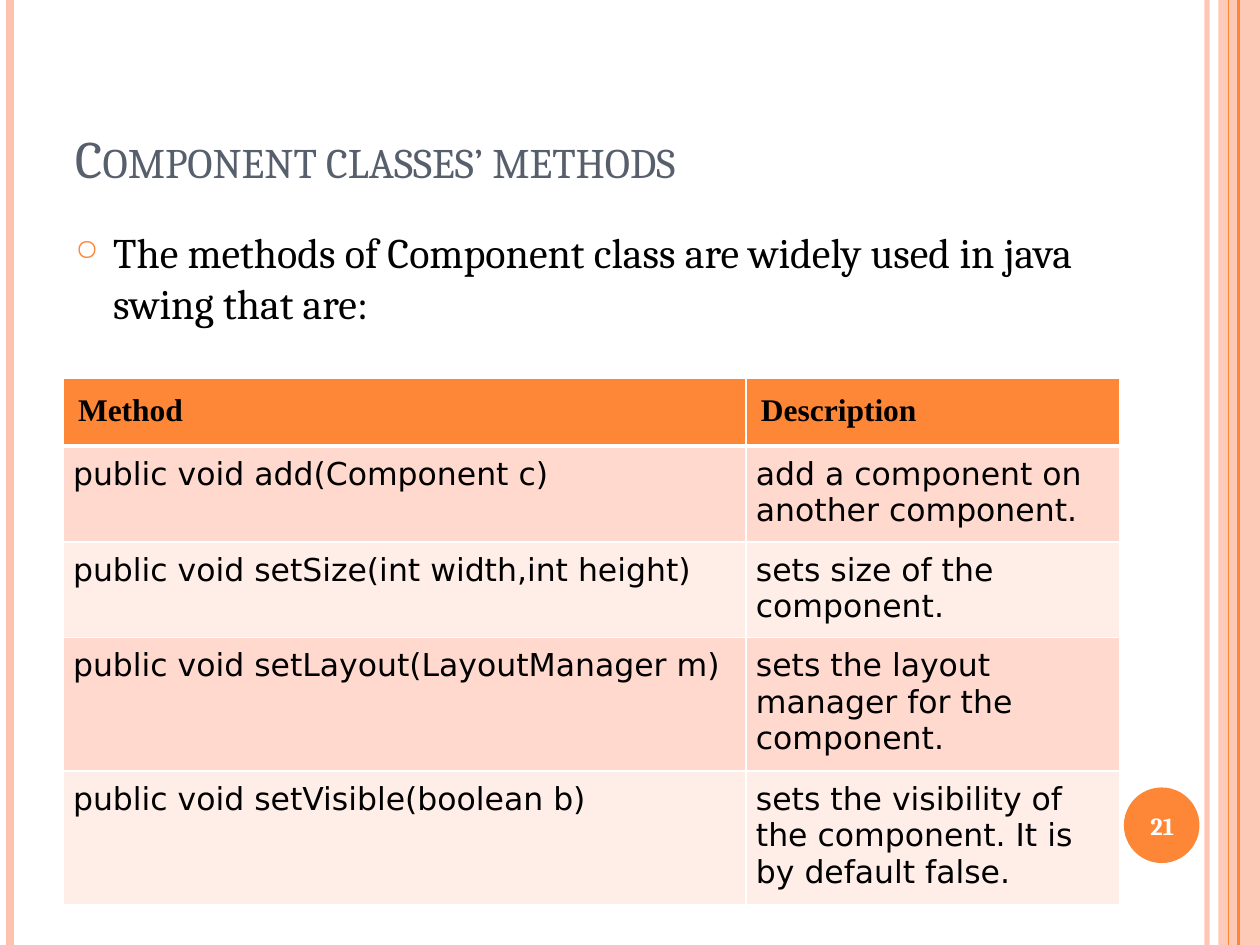
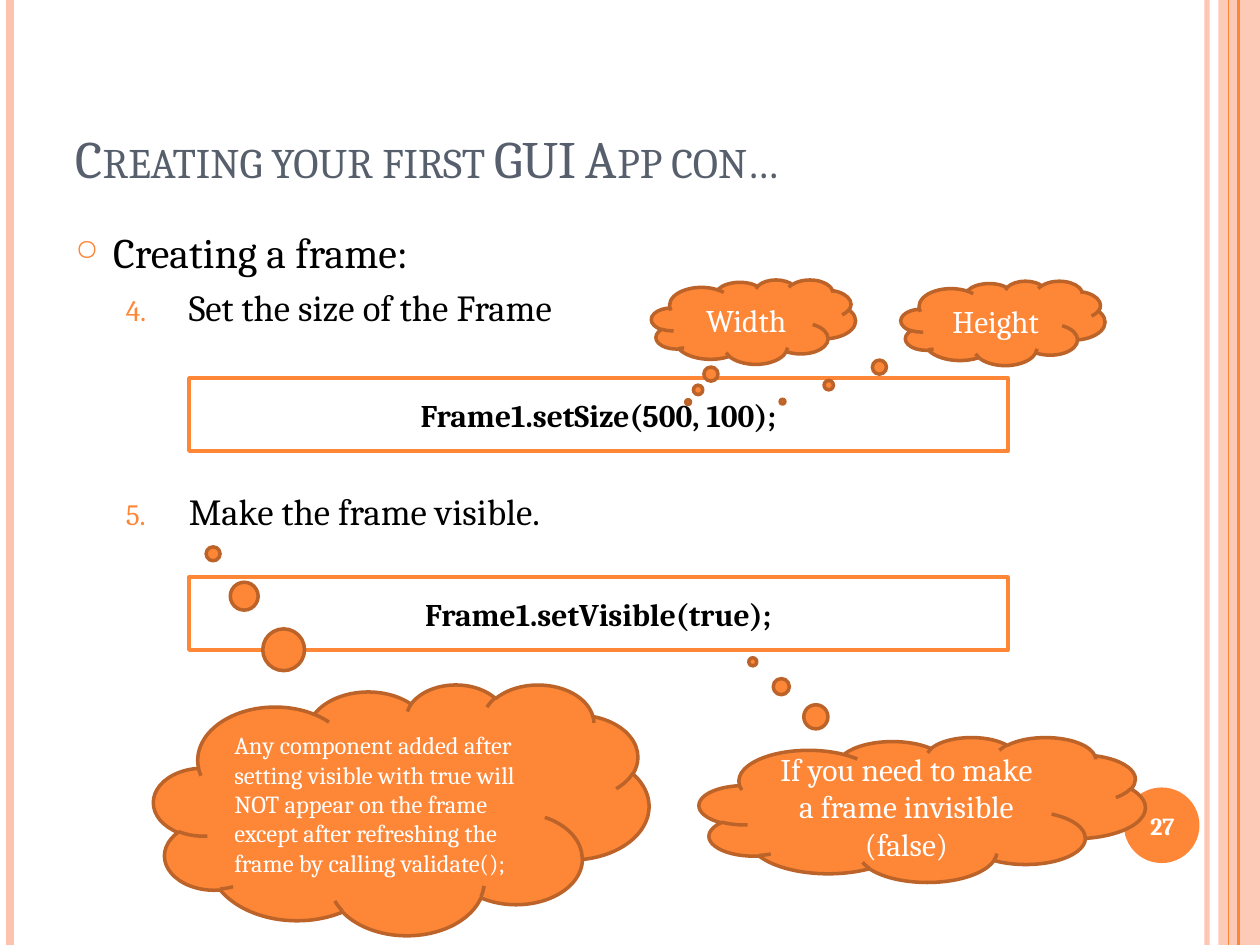
"""Build two slides about Java Swing component methods and frame creation."""
from lxml import etree
from pptx import Presentation
from pptx.dml.color import RGBColor
from pptx.enum.shapes import MSO_CONNECTOR, MSO_SHAPE
from pptx.enum.text import MSO_ANCHOR, PP_ALIGN
from pptx.oxml.ns import qn
from pptx.util import Inches, Pt

ORANGE = RGBColor(0xFE, 0x86, 0x37)
PEACH = RGBColor(0xFE, 0xC3, 0xAE)
BROWN = RGBColor(0xBC, 0x63, 0x29)
SLATE = RGBColor(0x57, 0x5F, 0x6D)
BLACK = RGBColor(0x00, 0x00, 0x00)
WHITE = RGBColor(0xFF, 0xFF, 0xFF)
ROW_DARK = RGBColor(0xFF, 0xD9, 0xCE)
ROW_LIGHT = RGBColor(0xFF, 0xED, 0xE8)

STRAIGHT = MSO_CONNECTOR.STRAIGHT
RECTANGLE = MSO_SHAPE.RECTANGLE
OVAL = MSO_SHAPE.OVAL
CLOUD = MSO_SHAPE.CLOUD_CALLOUT
LEFT, CENTER = PP_ALIGN.LEFT, PP_ALIGN.CENTER
MIDDLE, BOTTOM = MSO_ANCHOR.MIDDLE, MSO_ANCHOR.BOTTOM


def add_run(paragraph, text, size, color, bold=False, font="Cambria"):
    run = paragraph.add_run()
    run.text = text
    run.font.name = font
    run.font.size = Pt(size)
    run.font.bold = bold
    run.font.color.rgb = color
    return run


def add_child(parent, tag, **attributes):
    return etree.SubElement(parent, qn(tag), attributes)


presentation = Presentation()
presentation.slide_width = Inches(10)
presentation.slide_height = Inches(7.5)

BULLET = ("a:buChar", {"char": "○"})
NUMBER = ("a:buAutoNum", {"type": "arabicPeriod", "startAt": "4"})
# (text, size, text indent, hanging, space before, bullet size, bullet)
pages = [
    ("Component classes’ methods", "21", [
        ("The methods of Component class are widely used in java swing that are:",
         24, 0.3, 0.3, 6, "70000", BULLET),
    ]),
    ("Creating your first GUI App con…", "27", [
        ("Creating a frame:", 24, 0.3, 0.3, 6, "70000", BULLET),
        ("Set the size of the Frame", 21, 0.9, 0.5, 4.5, "80000", NUMBER),
        ("Make the frame visible.", 21, 0.9, 0.5, 91.5, "80000", NUMBER),
    ]),
]
side_lines = [
    (9.58, PEACH, 3, "93000"),
    (0.08, PEACH, 4.5, "100000"),
    (9.83, ORANGE, 1.5, "100000"),
    (9.75, ORANGE, 0.75, "100000"),
]
side_shapes = [
    (RECTANGLE, 9.67, 0, 0.33, 7.5, PEACH, "87000"),
    (OVAL, 8.92, 6.25, 0.6, 0.6, ORANGE, "100000"),
]

slides = []
for title, page_number, items in pages:
    slide = presentation.slides.add_slide(presentation.slide_layouts[6])
    slides.append(slide)

    for kind, left, top, width, height, color, alpha in side_shapes:
        shape = slide.shapes.add_shape(
            kind, Inches(left), Inches(top), Inches(width), Inches(height))
        shape.shadow.inherit = False
        shape.fill.solid()
        shape.fill.fore_color.rgb = color
        shape.line.fill.background()
        add_child(shape._element.find(".//" + qn("a:srgbClr")), "a:alpha", val=alpha)

    for x, color, weight, alpha in side_lines:
        line = slide.shapes.add_connector(STRAIGHT, Inches(x), 0, Inches(x), Inches(7.5))
        line.line.color.rgb = color
        line.line.width = Pt(weight)
        add_child(line._element.find(".//" + qn("a:srgbClr")), "a:alpha", val=alpha)
        add_child(line._element.spPr, "a:effectLst")

    title_frame = slide.shapes.add_textbox(
        Inches(0.5), Inches(0.3), Inches(8.17), Inches(1.25)).text_frame
    title_frame.word_wrap = True
    title_frame.vertical_anchor = BOTTOM
    title_run = add_run(title_frame.paragraphs[0], title, 30, SLATE)
    title_run.font._element.set("cap", "small")

    body_frame = slide.shapes.add_textbox(
        Inches(0.5), Inches(1.75), Inches(8.17), Inches(5.33)).text_frame
    body_frame.word_wrap = True
    for index, (text, size, indent, hanging, space, bullet_size, bullet) in enumerate(items):
        paragraph = body_frame.add_paragraph() if index else body_frame.paragraphs[0]
        paragraph.space_before = Pt(space)
        properties = paragraph._p.get_or_add_pPr()
        properties.set("marL", str(Inches(indent)))
        properties.set("indent", str(-Inches(hanging)))
        bullet_color = add_child(properties, "a:buClr")
        add_child(bullet_color, "a:srgbClr", val=str(ORANGE))
        add_child(properties, "a:buSzPct", val=bullet_size)
        bullet_tag, bullet_attributes = bullet
        add_child(properties, bullet_tag, **bullet_attributes)
        add_run(paragraph, text, size, BLACK)

    number_frame = slide.shapes.add_textbox(
        Inches(8.89), Inches(6.27), Inches(0.67), Inches(0.57)).text_frame
    number_frame.word_wrap = True
    number_frame.vertical_anchor = MIDDLE
    number_frame.paragraphs[0].alignment = CENTER
    add_run(number_frame.paragraphs[0], page_number, 14, WHITE, bold=True)

methods_slide, frame_slide = slides

methods = [
    ("Method", "Description"),
    ("public void add(Component c)", "add a component on another component."),
    ("public void setSize(int width,int height)", "sets size of the component."),
    ("public void setLayout(LayoutManager m)", "sets the layout manager for the component."),
    ("public void setVisible(boolean b)",
     "sets the visibility of the component. It is by default false."),
]
row_heights = [0.52, 0.75, 0.75, 1.03, 1.03]
table = methods_slide.shapes.add_table(
    len(methods), 2, Inches(0.5), Inches(3), Inches(8.39), Inches(sum(row_heights))).table
table.columns[0].width = Inches(5.42)
table.columns[1].width = Inches(2.97)
for row_index, texts in enumerate(methods):
    table.rows[row_index].height = Inches(row_heights[row_index])
    is_header = row_index == 0
    margin = Inches(0.12 if is_header else 0.08)
    for column_index, text in enumerate(texts):
        cell = table.cell(row_index, column_index)
        cell.margin_left = cell.margin_right = margin
        cell.margin_top = cell.margin_bottom = margin
        for side in ("L", "R", "T", "B"):
            is_header_edge = (row_index, side) in ((0, "B"), (1, "T"))
            border = add_child(cell._tc.get_or_add_tcPr(), "a:ln" + side,
                               w=str(Pt(3 if is_header_edge else 1)))
            add_child(add_child(border, "a:solidFill"), "a:srgbClr", val=str(WHITE))
        cell.fill.solid()
        if is_header:
            cell.fill.fore_color.rgb = ORANGE
        else:
            cell.fill.fore_color.rgb = ROW_DARK if row_index % 2 else ROW_LIGHT
        add_run(cell.text_frame.paragraphs[0], text, 18, BLACK, bold=is_header,
                font="Times New Roman" if is_header else "DejaVu Sans")

code_style = (WHITE, ORANGE, BLACK, True)
cloud_style = (ORANGE, BROWN, WHITE, False)
frame_shapes = [
    (RECTANGLE, 1.5, 3, 6.5, 0.58, (), code_style, "Frame1.setSize(500, 100);", 18, CENTER),
    (CLOUD, 5.17, 2.22, 1.62, 0.67, (-0.32, 0.95), cloud_style, "Width", 18, CENTER),
    (CLOUD, 7.15, 2.23, 1.62, 0.67, (-1.08, 0.93), cloud_style, "Height", 18, CENTER),
    (RECTANGLE, 1.5, 4.58, 6.5, 0.58, (), code_style, "Frame1.setVisible(true);", 18, CENTER),
    (CLOUD, 1.22, 5.43, 3.93, 1.99, (-0.38, -1.02), cloud_style,
     "Any component added after setting visible with true will NOT appear on the frame "
     "except after refreshing the frame by calling validate();", 14, LEFT),
    (CLOUD, 5.55, 5.85, 3.54, 1.15, (-0.38, -1.02), cloud_style,
     "If you need to make a frame invisible (false)", 18, CENTER),
]
for kind, left, top, width, height, tail, style, text, size, alignment in frame_shapes:
    fill_color, line_color, text_color, bold = style
    shape = frame_slide.shapes.add_shape(
        kind, Inches(left), Inches(top), Inches(width), Inches(height))
    shape.shadow.inherit = False
    for index, offset in enumerate(tail):
        shape.adjustments[index] = offset
    shape.fill.solid()
    shape.fill.fore_color.rgb = fill_color
    shape.line.color.rgb = line_color
    shape.line.width = Pt(2)
    shape.text_frame.word_wrap = True
    shape.text_frame.vertical_anchor = MIDDLE
    paragraph = shape.text_frame.paragraphs[0]
    paragraph.alignment = alignment
    add_run(paragraph, text, size, text_color, bold=bold)

presentation.save("out.pptx")
